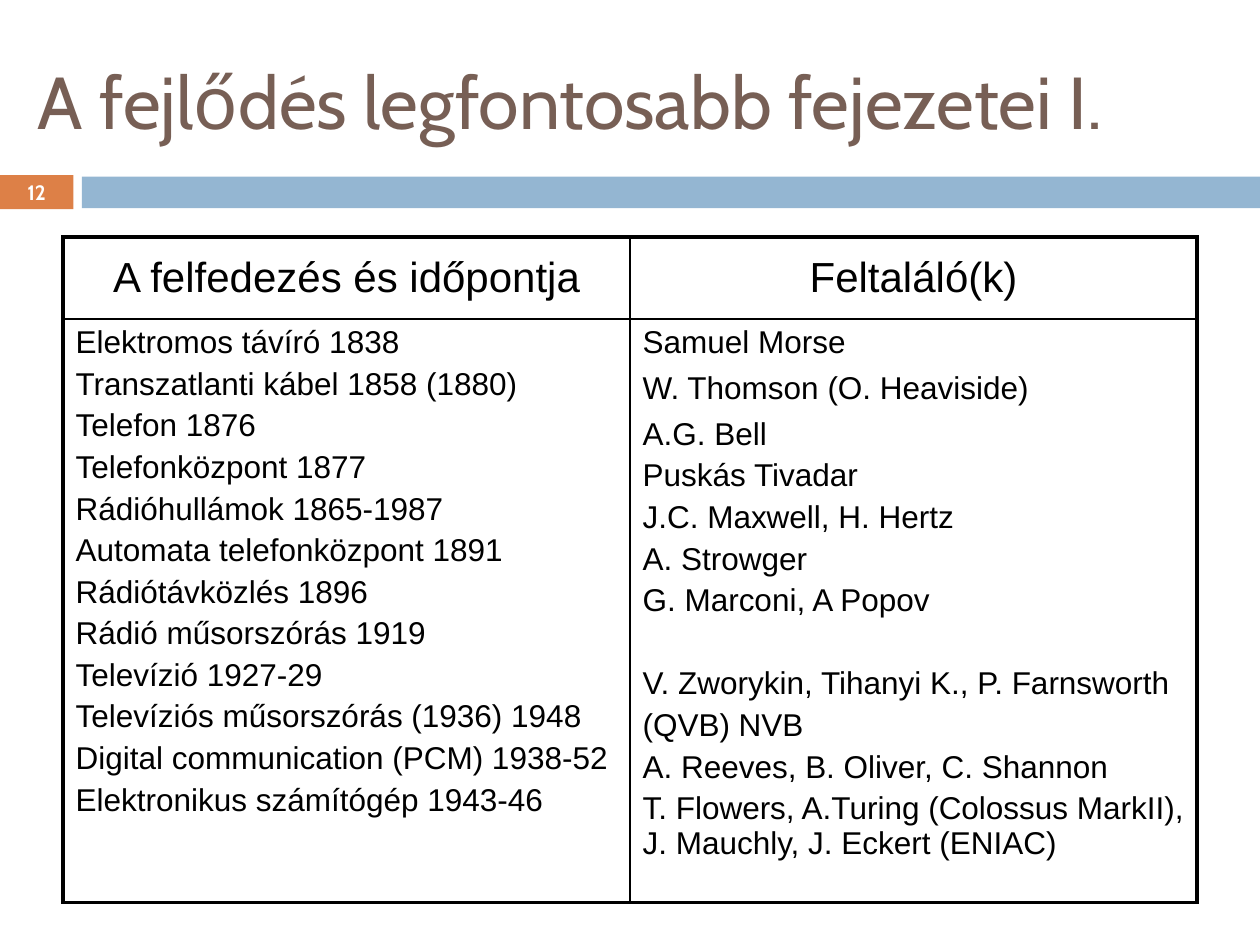
from pptx import Presentation
from pptx.dml.color import RGBColor
from pptx.enum.shapes import MSO_SHAPE
from pptx.enum.text import MSO_ANCHOR, MSO_AUTO_SIZE, PP_ALIGN
from pptx.oxml import parse_xml
from pptx.oxml.ns import nsdecls
from pptx.util import Cm, Pt

RECTANGLE = MSO_SHAPE.RECTANGLE
MIDDLE, TOP = MSO_ANCHOR.MIDDLE, MSO_ANCHOR.TOP
CENTER, LEFT = PP_ALIGN.CENTER, PP_ALIGN.LEFT
NO_AUTOFIT = MSO_AUTO_SIZE.NONE
TITLE_ONLY = 5

TITLE_FONT, BODY_FONT = "Cabin", "Arial"
BROWN, ORANGE, BLUE = "775F55", "DD8047", "94B6D2"
BLACK, WHITE = "000000", "FFFFFF"

OUTER_BORDER, INNER_BORDER = 2.25, 1
HEADER_SIZE, BODY_SIZE = 24, 18
LINE_GAP = 0.2  # space before a paragraph, as a share of the text size

HEADERS = ["A felfedezés és időpontja", "Feltaláló(k)"]
DISCOVERIES = [
    "Elektromos távíró 1838",
    "Transzatlanti kábel 1858 (1880)",
    "Telefon 1876",
    "Telefonközpont 1877",
    "Rádióhullámok 1865-1987",
    "Automata telefonközpont 1891",
    "Rádiótávközlés 1896",
    "Rádió műsorszórás 1919",
    "Televízió 1927-29",
    "Televíziós műsorszórás (1936) 1948",
    "Digital communication (PCM) 1938-52",
    "Elektronikus számítógép 1943-46",
]
INVENTORS = [
    "Samuel Morse",
    "W. Thomson (O. Heaviside)",
    "A.G. Bell",
    "Puskás Tivadar",
    "J.C. Maxwell, H. Hertz",
    "A. Strowger",
    "G. Marconi, A Popov",
    "V. Zworykin, Tihanyi K., P. Farnsworth",
    "(QVB) NVB",
    "A. Reeves, B. Oliver, C. Shannon",
    "T. Flowers, A.Turing (Colossus MarkII),\nJ. Mauchly, J. Eckert (ENIAC)",
]
# Radio broadcasting has no inventor, so the television line skips a row.
INVENTOR_GAPS = {1: 6, 2: 6, 7: 27.4}


def rgb(hex_color):
    return RGBColor.from_string(hex_color)


def add_run(paragraph, text, font_name, size, color, bold=False):
    run = paragraph.add_run()
    run.text = text
    run.font.name = font_name
    run.font.size = Pt(size)
    run.font.bold = bold
    run.font.color.rgb = rgb(color)


def add_title(slide, text):
    title = slide.shapes.title
    title.left, title.top = Cm(0.51), Cm(0.64)
    title.width, title.height = Cm(23.85), Cm(2.74)
    frame = title.text_frame
    frame.auto_size = NO_AUTOFIT
    frame.vertical_anchor = MIDDLE
    frame.paragraphs[0].alignment = LEFT
    add_run(frame.paragraphs[0], text, TITLE_FONT, 42, BROWN)


def add_bar(slide, left, top, width, height, color):
    bar = slide.shapes.add_shape(RECTANGLE, Cm(left), Cm(top), Cm(width), Cm(height))
    bar.shadow.inherit = False
    bar.fill.solid()
    bar.fill.fore_color.rgb = rgb(color)
    bar.line.fill.background()
    return bar


def add_page_number(slide, number):
    box = add_bar(slide, 0, 3.53, 1.48, 0.69, ORANGE)
    frame = box.text_frame
    frame.margin_left = frame.margin_right = frame.margin_top = frame.margin_bottom = 0
    frame.vertical_anchor = MIDDLE
    frame.paragraphs[0].alignment = CENTER
    add_run(frame.paragraphs[0], number, TITLE_FONT, 11.9, WHITE, bold=True)


def fill_cell(cell, lines, size, alignment, anchor, gaps):
    """Write one paragraph a line; gaps maps a line's index to its own space before."""
    cell.fill.background()
    cell.vertical_anchor = anchor
    frame = cell.text_frame
    for index, line in enumerate(lines):
        paragraph = frame.add_paragraph() if index else frame.paragraphs[0]
        paragraph.alignment = alignment
        paragraph.space_before = Pt(gaps.get(index, size * LINE_GAP))
        for part_index, part in enumerate(line.split("\n")):
            if part_index:
                paragraph.add_line_break()
            add_run(paragraph, part, BODY_FONT, size, BLACK)


def set_borders(cell, widths):
    """Put borders, given by side in schema order, ahead of the cell's fill."""
    properties = cell._tc.get_or_add_tcPr()
    for position, (side, width) in enumerate(widths.items()):
        properties.insert(position, parse_xml(
            f'<a:ln{side} {nsdecls("a")} w="{Pt(width)}"><a:solidFill>'
            f'<a:srgbClr val="{BLACK}"/></a:solidFill></a:ln{side}>'))


def add_inventions_table(slide):
    row_heights = [1.65, 11.76]
    frame = slide.shapes.add_table(
        2, 2, Cm(1.27), Cm(4.78), Cm(22.86), Cm(sum(row_heights)))
    table = frame.table
    table.first_row = table.horz_banding = False
    for row, height in zip(table.rows, row_heights):
        row.height = Cm(height)

    for column, header in enumerate(HEADERS):
        fill_cell(table.cell(0, column), [header], HEADER_SIZE, CENTER, MIDDLE, {})
    fill_cell(table.cell(1, 0), DISCOVERIES, BODY_SIZE, LEFT, TOP, {})
    fill_cell(table.cell(1, 1), INVENTORS, BODY_SIZE, LEFT, TOP, INVENTOR_GAPS)

    for row in range(2):
        for column in range(2):
            on_edge = {"L": column == 0, "R": column == 1, "T": row == 0, "B": row == 1}
            set_borders(table.cell(row, column), {
                side: OUTER_BORDER if outer else INNER_BORDER
                for side, outer in on_edge.items()})


def main():
    presentation = Presentation()
    presentation.slide_width, presentation.slide_height = Cm(25.4), Cm(19.05)
    slide = presentation.slides.add_slide(presentation.slide_layouts[TITLE_ONLY])
    add_title(slide, "A fejlődés legfontosabb fejezetei I.")
    add_bar(slide, 1.65, 3.56, 23.75, 0.64, BLUE)
    add_inventions_table(slide)
    add_page_number(slide, "12")
    presentation.save("out.pptx")


if __name__ == "__main__":
    main()
